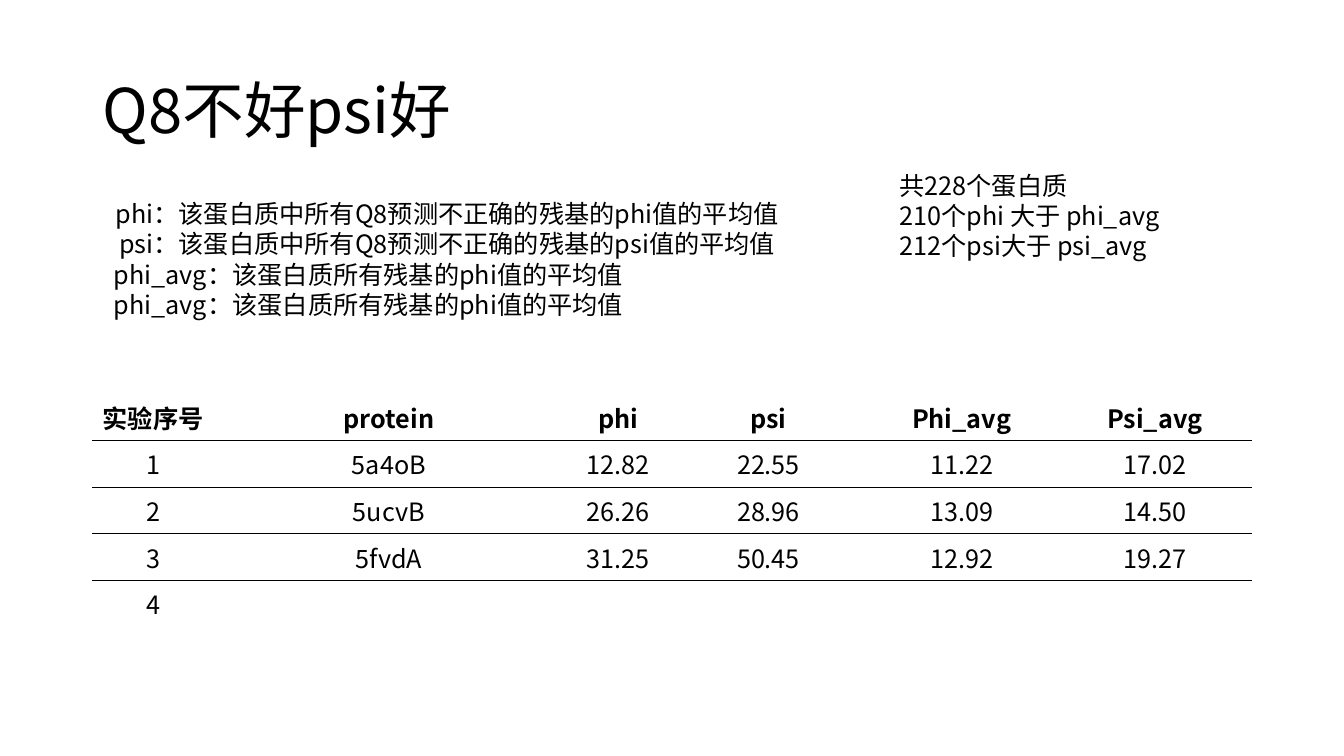
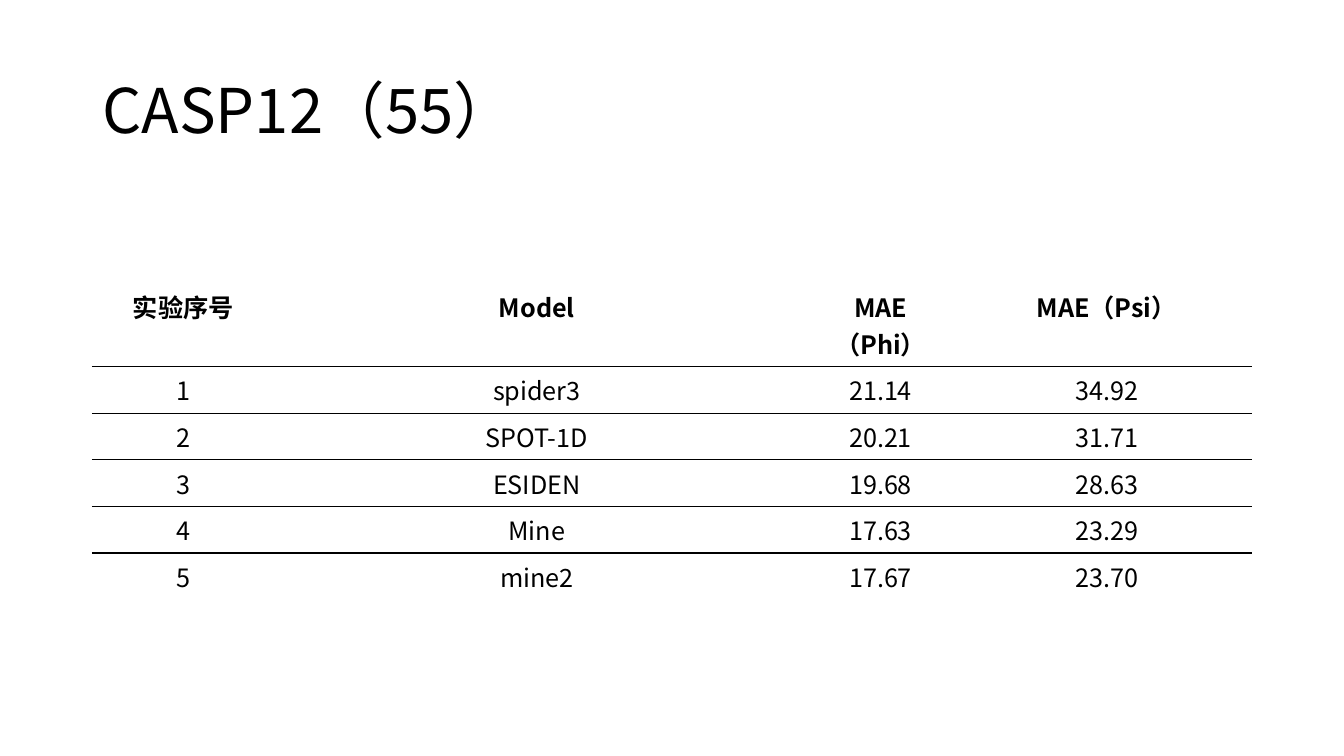
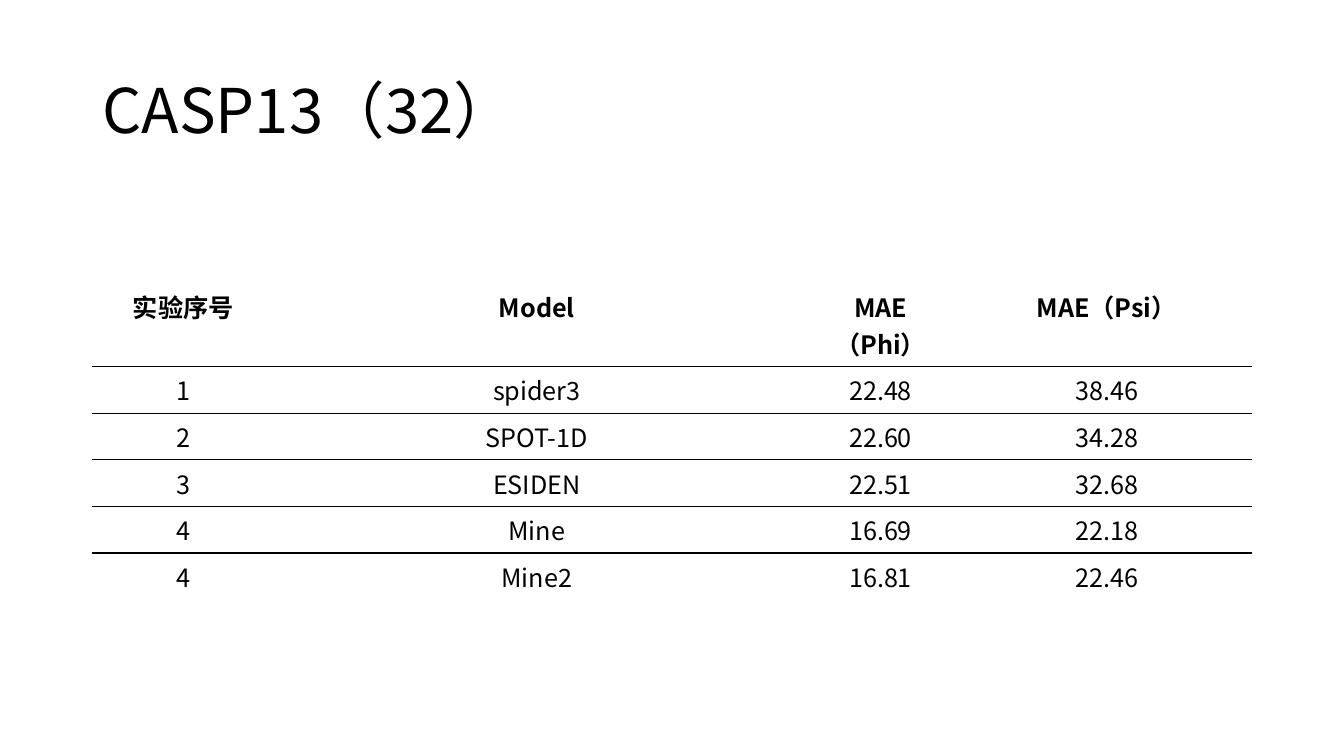
from pptx import Presentation
from pptx.dml.color import RGBColor
from pptx.enum.text import MSO_ANCHOR, MSO_AUTO_SIZE, PP_ALIGN
from pptx.oxml.ns import qn
from pptx.util import Pt
from lxml import etree

LEFT, CENTER = PP_ALIGN.LEFT, PP_ALIGN.CENTER
MIDDLE, TOP = MSO_ANCHOR.MIDDLE, MSO_ANCHOR.TOP
NO_FIT, GROW = MSO_AUTO_SIZE.NONE, MSO_AUTO_SIZE.SHAPE_TO_FIT_TEXT
TITLE_ONLY = 5

FONT = "Noto Sans CJK SC"
COLORS = {"ink": "000000", "paper": "FFFFFF"}
TITLE = {"left": Pt(66), "top": Pt(28.8), "width": Pt(828), "height": Pt(104.4)}
TITLE_FRAME = {"vertical_anchor": MIDDLE, "auto_size": NO_FIT, "word_wrap": True}
NOTE_FRAME = {"vertical_anchor": TOP, "auto_size": GROW, "word_wrap": True}
ROW_HEIGHT = 29.2

MODEL_TOP = 202.5
MODEL_HEADER = ["实验序号", "Model", "MAE（Phi）", "MAE（Psi）"]
MODEL_COLUMNS = [130, 375, 116, 207]

SLIDES = [
    {
        "title": "Q8不好psi好",
        "top": 281.5,
        "columns": [86.6, 250.4, 77, 138, 138, 138],
        "rows": [
            ["实验序号", "protein", "phi", "psi", "Phi_avg", "Psi_avg"],
            ["1", "5a4oB", "12.82", "22.55", "11.22", "17.02"],
            ["2", "5ucvB", "26.26", "28.96", "13.09", "14.50"],
            ["3", "5fvdA", "31.25", "50.45", "12.92", "19.27"],
            ["4", "", "", "", "", ""],
        ],
        "notes": [
            ((74.2, 138.2, 490.4, 94.3), [
                ("phi：该蛋白质中所有Q8预测不正确的残基的phi值的平均值", CENTER),
                ("psi：该蛋白质中所有Q8预测不正确的残基的psi值的平均值", CENTER),
                ("phi_avg：该蛋白质所有残基的phi值的平均值", LEFT),
                ("phi_avg：该蛋白质所有残基的phi值的平均值", LEFT),
            ]),
            ((635.4, 118.1, 258.5, 72.7), [
                ("共228个蛋白质", LEFT),
                ("210个phi 大于 phi_avg", LEFT),
                ("212个psi大于 psi_avg", LEFT),
            ]),
        ],
    },
    {
        "title": "CASP12（55）",
        "top": MODEL_TOP,
        "columns": MODEL_COLUMNS,
        "rows": [
            MODEL_HEADER,
            ["1", "spider3", "21.14", "34.92"],
            ["2", "SPOT-1D", "20.21", "31.71"],
            ["3", "ESIDEN", "19.68", "28.63"],
            ["4", "Mine", "17.63", "23.29"],
            ["5", "mine2", "17.67", "23.70"],
        ],
        "notes": [],
    },
    {
        "title": "CASP13（32）",
        "top": MODEL_TOP,
        "columns": MODEL_COLUMNS,
        "rows": [
            MODEL_HEADER,
            ["1", "spider3", "22.48", "38.46"],
            ["2", "SPOT-1D", "22.60", "34.28"],
            ["3", "ESIDEN", "22.51", "32.68"],
            ["4", "Mine", "16.69", "22.18"],
            ["4", "Mine2", "16.81", "22.46"],
        ],
        "notes": [],
    },
]


def write(para, text, size=18, bold=False, align=LEFT, spacing=None):
    para.alignment = align
    para.line_spacing = spacing
    if not text:
        return
    span = para.add_run()
    span.text = text
    for name, value in {"size": Pt(size), "bold": bold, "name": FONT}.items():
        setattr(span.font, name, value)
    span.font.color.rgb = RGBColor.from_string(COLORS["ink"])
    east_asian = etree.SubElement(span.font._element, qn("a:ea"))
    east_asian.set("typeface", FONT)


def add_border(cell, side, color):
    properties = cell._tc.get_or_add_tcPr()
    line = etree.SubElement(properties, qn("a:ln" + side), w=str(Pt(1)))
    fill = etree.SubElement(line, qn("a:solidFill"))
    etree.SubElement(fill, qn("a:srgbClr"), val=color)


deck = Presentation()
deck.slide_width, deck.slide_height = Pt(960), Pt(540)

for content in SLIDES:
    page = deck.slides.add_slide(deck.slide_layouts[TITLE_ONLY])
    title = page.shapes.title
    for name, value in TITLE.items():
        setattr(title, name, value)
    for name, value in TITLE_FRAME.items():
        setattr(title.text_frame, name, value)
    write(title.text_frame.paragraphs[0], content["title"], size=44, spacing=0.9)

    rows, columns = content["rows"], content["columns"]
    table = page.shapes.add_table(
        len(rows), len(columns), Pt(66), Pt(content["top"]),
        Pt(sum(columns)), Pt(ROW_HEIGHT * len(rows))).table
    table.horz_banding = False
    for column, width in zip(table.columns, columns):
        column.width = Pt(width)
    last = len(rows) - 1
    for row_index, values in enumerate(rows):
        table.rows[row_index].height = Pt(ROW_HEIGHT)
        borders = {
            "L": "paper",
            "R": "paper",
            "T": "paper" if row_index == 0 else "ink",
            "B": "paper" if row_index == last else "ink",
        }
        for column_index, value in enumerate(values):
            cell = table.cell(row_index, column_index)
            write(cell.text_frame.paragraphs[0], value, bold=row_index == 0, align=CENTER)
            for side, color in borders.items():
                add_border(cell, side, COLORS[color])
            cell.fill.solid()
            cell.fill.fore_color.rgb = RGBColor.from_string(COLORS["paper"])

    for place, lines in content["notes"]:
        box = page.shapes.add_textbox(*[Pt(length) for length in place])
        frame = box.text_frame
        for name, value in NOTE_FRAME.items():
            setattr(frame, name, value)
        for index, (text, align) in enumerate(lines):
            para = frame.add_paragraph() if index else frame.paragraphs[0]
            write(para, text, align=align)

deck.save("out.pptx")
